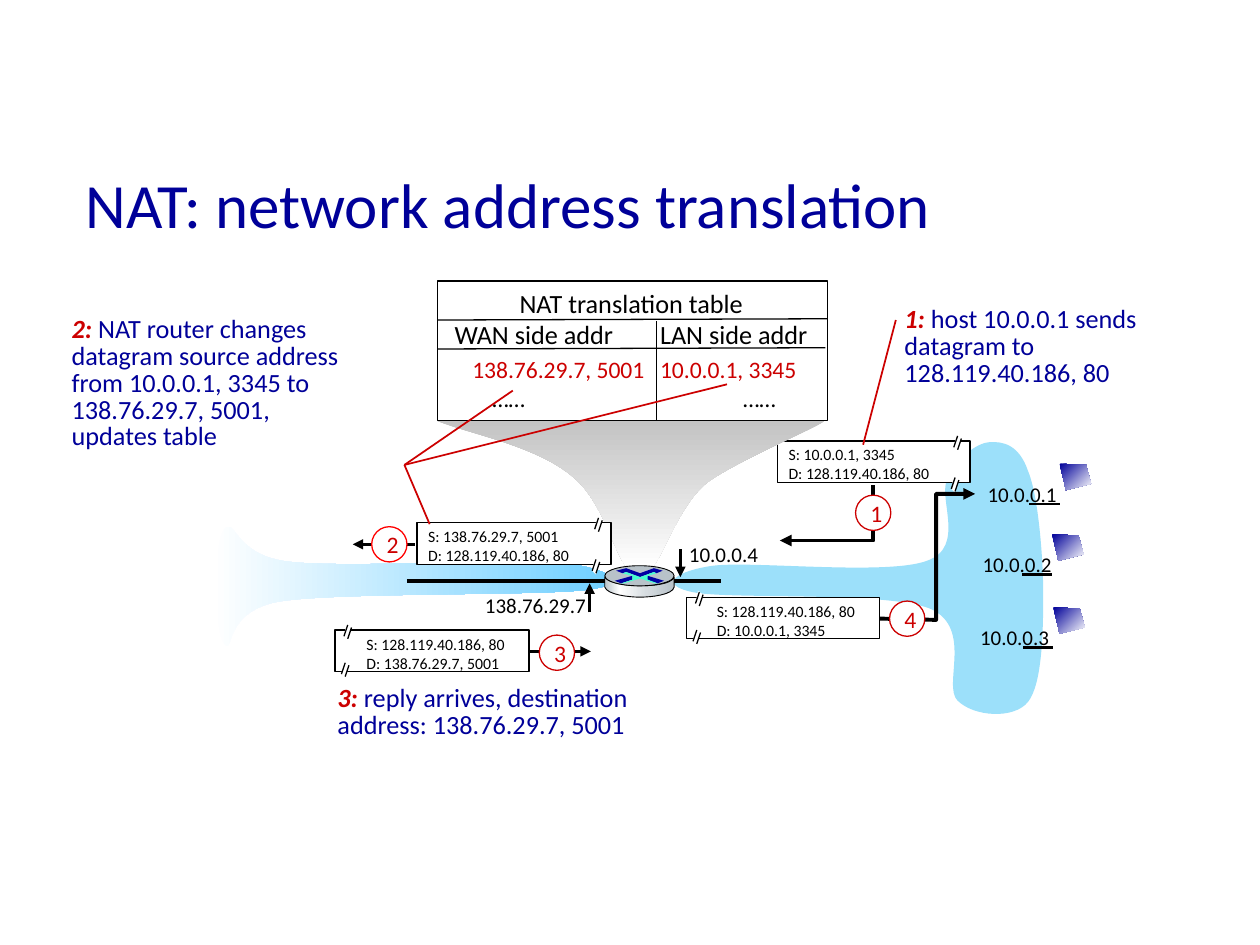
from copy import deepcopy
from lxml.etree import SubElement as Sub
from pptx import Presentation
from pptx.dml.color import RGBColor as Rgb
from pptx.enum.shapes import MSO_CONNECTOR as Link, MSO_SHAPE as Kind
from pptx.enum.text import MSO_ANCHOR as Anchor, MSO_AUTO_SIZE as Auto, PP_ALIGN as Align
from pptx.oxml.ns import qn
from pptx.util import Inches, Pt

HUES = {"navy": "000099", "red": "CC0000", "bright": "FF0000", "black": "000000",
        "white": "FFFFFF", "sky": "66CCFF", "pale": "9CE0FA", "gray": "BFBFBF",
        "steel": "B8C2C9", "mist": "D6DCE0", "ink": "0000A3", "teal": "47FFD1"}


def hue(name):
    """Return the named colour."""
    return Rgb.from_string(HUES[name])


def paint(shape, fill=None, line=None, wide=0.75, angle=0):
    """Fill with a colour or a list of (position, colour) stops, and set the outline."""
    shape.shadow.inherit = False
    if isinstance(fill, list):
        shape.fill.gradient()
        shape.fill.gradient_angle = -angle % 360
        stops = next(shape._element.iter(qn("a:gsLst")))
        for _ in fill[2:]:
            stops.append(deepcopy(stops[0]))
        for stop, (spot, name) in zip(shape.fill.gradient_stops, fill):
            stop.position, stop.color.rgb = spot, hue(name)
    elif fill:
        shape.fill.solid()
        shape.fill.fore_color.rgb = hue(fill)
    else:
        shape.fill.background()
    if line:
        shape.line.color.rgb, shape.line.width = hue(line), Pt(wide)
    else:
        shape.line.fill.background()
    return shape


def form(shapes, kind, x, y, w, h, fill, line="black", wide=0.75):
    """Add a preset shape."""
    shape = shapes.add_shape(kind, *map(Inches, (x, y, w, h)))
    return paint(shape, fill, line, wide)


def trace(shapes, x, y, steps, fill=None, line=None, wide=0.75, angle=0, close=True):
    """Draw an outline from points and six-number curve steps, offset by x and y."""
    dots = [(Inches(x + s[i]), Inches(y + s[i + 1])) for s in steps for i in range(0, len(s), 2)]
    pen = shapes.build_freeform(*dots[0], scale=1.0)
    pen.add_line_segments(dots[1:], close=close)
    shape = pen.convert_to_shape()
    legs = iter(list(shape._element.iter(qn("a:lnTo"))))
    for step in steps[1:]:
        leg = next(legs)
        if len(step) == 6:
            leg.tag = qn("a:cubicBezTo")
            for _ in range(2):
                extra = next(legs)
                leg.append(extra[0])
                extra.getparent().remove(extra)
    return paint(shape, fill, line, wide, angle)


def tip(shape, end="a:tailEnd"):
    """Put a triangle arrowhead on a line end."""
    Sub(shape.line._get_or_add_ln(), qn(end), type="triangle")


def rule(shapes, x, y, u, v, line="black", wide=0.75):
    """Add a straight line."""
    link = shapes.add_connector(Link.STRAIGHT, *map(Inches, (x, y, u, v)))
    link.line.color.rgb, link.line.width = hue(line), Pt(wide)
    Sub(link._element.spPr, qn("a:effectLst"))
    return link


def style(run, size, color, strong=False):
    """Format one run."""
    font = run.font
    font.name, font.size, font.color.rgb = "Calibri", Pt(size), hue(color)
    font.bold = font.italic = strong


def label(shapes, x, y, w, h, text, size, color="black", wrap=True):
    """Add a text box and return its frame."""
    frame = shapes.add_textbox(*map(Inches, (x, y, w, h))).text_frame
    frame.word_wrap, frame.auto_size = wrap, Auto.SHAPE_TO_FIT_TEXT
    frame.text = text
    for para in frame.paragraphs:
        for run in para.runs:
            style(run, size, color)
    return frame


def title(shapes, x, y, w, h):
    """Add the slide title."""
    frame = label(shapes, x, y, w, h, "NAT: network address translation", 36, "navy")
    frame.auto_size, frame.vertical_anchor = Auto.NONE, Anchor.MIDDLE


def note(shapes, x, y, w, h, lead, text):
    """Add a numbered remark with a red lead."""
    frame = label(shapes, x, y, w, h, lead + " ", 15, "red")
    first = frame.paragraphs[0]
    style(first.runs[0], 15, "red", True)
    for i, part in enumerate(text.split("\n")):
        para = frame.add_paragraph() if i else first
        para.line_spacing = 0.85
        run = para.add_run()
        run.text = part
        style(run, 15, "navy")


def slash(shapes, x, y):
    """Add a break mark to a packet edge."""
    trace(shapes, x, y, [(0.02, 0), (0, 0.1), (0.03, 0.13), (0.06, 0.03)], "white")
    rule(shapes, x + 0.03, y + 0.01, x, y + 0.1)
    rule(shapes, x + 0.06, y + 0.03, x + 0.03, y + 0.12)


def packet(shapes, x, y, w, text, reply=False):
    """Add a datagram, whose breaks sit left on a reply."""
    form(shapes, Kind.RECTANGLE, x, y, w, 0.33, "white")
    inset, top, edge, low = (w - 1.39, -0.01, 0.06, 0.25) if reply else (-0.01, -0.02, w - 0.14, 0.28)
    label(shapes, x + inset, y + top, w - 0.08, 0.4, text, 9)
    slash(shapes, x + edge + 0.01, y - 0.05)
    slash(shapes, x + edge - 0.01, y + low)


def badge(shapes, x, y, text, line="red"):
    """Add a circled step number."""
    form(shapes, Kind.OVAL, x, y, 0.28, 0.28, "white", line)
    label(shapes, x + 0.02, y - 0.02, 0.3, 0.33, text, 13.5, "red", False)


def elbow(shapes, x, y, dots):
    """Add a bent arrow that points to its first dot."""
    tip(trace(shapes, x, y, dots, line="black", wide=2.25, close=False), "a:headEnd")


def clouds(shapes, x, y):
    """Draw the outer and the local network."""
    trace(shapes, x, y + 0.6, [
        (2.79, 0.37), (2.4, 0.33, 1.07, 0.41, 0.62, 0.36), (0.17, 0.32, 0.18, 0, 0.09, 0.1),
        (0, 0.21, 0.01, 0.92, 0.09, 1.01), (0.17, 1.11, 0.07, 0.74, 0.55, 0.67),
        (1.04, 0.6, 2.61, 0.63, 2.98, 0.58), (3.35, 0.53, 3.12, 0.41, 2.79, 0.37)],
        [(0, "white"), (1, "sky")])
    trace(shapes, x + 3.51, y, [
        (0.46, 0.99), (0.77, 0.95, 1.85, 1.07, 2.16, 0.95), (2.47, 0.84, 2.24, 0.45, 2.32, 0.3),
        (2.4, 0.14, 2.54, 0.02, 2.65, 0.01), (2.76, 0, 2.89, 0.03, 2.96, 0.24),
        (3.04, 0.43, 3.08, 0.92, 3.08, 1.22), (3.08, 1.53, 3.07, 1.93, 2.96, 2.07),
        (2.85, 2.21, 2.53, 2.19, 2.4, 2.06), (2.28, 1.94, 2.53, 1.48, 2.18, 1.33),
        (1.83, 1.19, 0.58, 1.26, 0.3, 1.2), (0.01, 1.14, 0.17, 1.03, 0.46, 0.99)], "pale")


def tabs(para, *stops):
    """Set left tab stops."""
    row = Sub(para._p.get_or_add_pPr(), qn("a:tabLst"))
    for stop in stops:
        Sub(row, qn("a:tab"), pos=str(Inches(stop)), algn="l")


def table(shapes, x, y, w, h):
    """Draw the translation table and the funnel below it."""
    trace(shapes, x, y + h, [
        (0, 0), (0, 0, 2.7, -0.08, 3.06, 0), (3.16, -0.01, 2.36, 0.32, 2.13, 0.5),
        (1.91, 0.69, 1.8, 1.07, 1.7, 1.17), (1.51, 1.17), (1.4, 1.05, 1.32, 0.63, 1.06, 0.43),
        (0.76, 0.19, 0.24, 0.1, 0, 0)], [(0, "gray"), (1, "white")], angle=90)
    form(shapes, Kind.RECTANGLE, x, y, w, h, "white")
    head = label(shapes, x + 0.02, y, 3.04, 0.61,
                 "NAT translation table\nWAN side addr\tLAN side addr", 15).paragraphs
    head[0].alignment = Align.CENTER
    head[1]._p.get_or_add_pPr().set("marL", str(Inches(0.02)))
    tabs(head[1], 1.63)
    rule(shapes, x, y + 0.31, x + w, y + 0.3)
    rule(shapes, x, y + 0.54, x + w - 0.02, y + 0.53)
    rule(shapes, x + 1.74, y + 0.32, x + 1.74, y + h)
    rows = label(shapes, x + 0.18, y + 0.54, 2.82, 0.56,
                 "138.76.29.7, 5001\t10.0.0.1, 3345\n\t……\t……", 13.5, "red").paragraphs
    tabs(rows[0], 1.49)
    tabs(rows[1], 0.16, 2.15)
    for run in rows[1].runs:
        style(run, 13.5, "black")


def host(shapes, x, y, left, text):
    """Add a host screen with its address and line."""
    label(shapes, x - left, y + 0.09, 0.76, 0.3, text, 12, wrap=False)
    trace(shapes, x, y, [(0, 0), (0.21, 0.01), (0.25, 0.16), (0.05, 0.21)],
          [(0, "navy"), (1, "white")], angle=45)
    rule(shapes, x - 0.24, y + 0.32, x, y + 0.32, wide=1.5)


def router(shapes, x, y):
    """Draw the router on its wire, with its two addresses."""
    rule(shapes, x - 1.57, y + 0.12, x + 0.92, y + 0.12, wide=2)
    trace(shapes, x, y, [
        (0.55, 0.09), (0.55, 0.17), (0.54, 0.23, 0.37, 0.25, 0.28, 0.25),
        (0.19, 0.25, 0.02, 0.23, 0, 0.17), (0, 0.09), (0.03, 0.14, 0.18, 0.16, 0.28, 0.16),
        (0.37, 0.16, 0.53, 0.15, 0.55, 0.09)],
        [(0, "steel"), (0.21, "white"), (0.6, "mist"), (1, "steel")], "black", 0.5)
    form(shapes, Kind.OVAL, x, y, 0.55, 0.16, "steel", wide=0.5)
    trace(shapes, x, y, [(0.39, 0.02), (0.46, 0.04), (0.41, 0.06), (0.39, 0.05), (0.28, 0.09),
                         (0.17, 0.05), (0.14, 0.06), (0.09, 0.04), (0.17, 0.02), (0.28, 0.06)], "ink")
    trace(shapes, x, y, [(0.34, 0.08), (0.47, 0.12), (0.42, 0.14), (0.33, 0.11)], "ink")
    trace(shapes, x, y, [(0.22, 0.08), (0.22, 0.11), (0.13, 0.14), (0.08, 0.12)], "ink")
    trace(shapes, x, y, [(0.14, 0.06), (0.17, 0.05), (0.28, 0.09), (0.39, 0.05), (0.41, 0.06),
                         (0.34, 0.08), (0.34, 0.11), (0.42, 0.14), (0.4, 0.14), (0.28, 0.1),
                         (0.15, 0.14), (0.13, 0.14), (0.22, 0.11), (0.22, 0.08)], "teal")
    label(shapes, x + 0.57, y - 0.24, 0.76, 0.3, "10.0.0.4", 12, wrap=False)
    label(shapes, x - 1.05, y + 0.16, 1.02, 0.3, "138.76.29.7", 12, wrap=False)
    tip(rule(shapes, x - 0.12, y + 0.37, x - 0.12, y + 0.14, wide=1.5))
    tip(rule(shapes, x + 0.6, y - 0.13, x + 0.6, y + 0.09, wide=1.5))


def send(shapes, x, y):
    """Show step 1, from the host to the router."""
    packet(shapes, x, y, 1.53, "S: 10.0.0.1, 3345\nD: 128.119.40.186, 80")
    elbow(shapes, x, y, [(0.02, 0.79), (0.76, 0.79), (0.76, 0.35)])
    badge(shapes, x + 0.62, y + 0.43, "1")
    note(shapes, x + 0.91, y - 1.11, 2.52, 0.74, "1:",
         "host 10.0.0.1 sends datagram to 128.119.40.186, 80")
    rule(shapes, x + 0.94, y - 0.96, x + 0.68, y + 0.03, "red", 1)


def change(shapes, x, y):
    """Show step 2, the rewritten datagram and its table entry."""
    packet(shapes, x, y, 1.54, "S: 138.76.29.7, 5001\nD: 128.119.40.186, 80")
    tip(rule(shapes, x - 0.02, y + 0.17, x - 0.51, y + 0.17, wide=1.5))
    badge(shapes, x - 0.36, y + 0.03, "2", "bright")
    note(shapes, x - 2.84, y - 1.68, 2.59, 1.17, "2:", "NAT router changes datagram source "
         "address from 10.0.0.1, 3345 to 138.76.29.7, 5001,\nupdates table")
    for u, v in ((0.1, 0.01), (0.76, -1.05), (2.46, -1.1)):
        rule(shapes, x - 0.1, y - 0.46, x + u, y + v, "red", 1)


def reply(shapes, x, y):
    """Show step 3, the reply from outside."""
    packet(shapes, x, y, 1.54, "S: 128.119.40.186, 80\nD: 138.76.29.7, 5001", True)
    tip(rule(shapes, x + 2.03, y + 0.17, x + 1.54, y + 0.17, wide=1.5), "a:headEnd")
    badge(shapes, x + 1.62, y + 0.04, "3")
    note(shapes, x - 0.08, y + 0.4, 2.92, 0.53, "3:",
         "reply arrives, destination address: 138.76.29.7, 5001")


def pass_on(shapes, x, y):
    """Show step 4, the reply going to the host."""
    packet(shapes, x, y, 1.53, "S: 128.119.40.186, 80\nD: 10.0.0.1, 3345", True)
    elbow(shapes, x, y, [(2.29, -0.82), (1.98, -0.82), (1.98, 0.18), (1.53, 0.17)])
    badge(shapes, x + 1.61, y + 0.03, "4")


def main():
    """Build and save the slide."""
    deck = Presentation()
    deck.slide_width, deck.slide_height = Inches(10), Inches(7.5)
    shapes = deck.slides.add_slide(deck.slide_layouts[6]).shapes
    title(shapes, 0.58, 1.17, 8.62, 0.88)
    clouds(shapes, 1.69, 3.5)
    send(shapes, 6.17, 3.5)
    table(shapes, 3.47, 2.23, 3.1, 1.11)
    pass_on(shapes, 5.45, 4.74)
    change(shapes, 3.31, 4.15)
    reply(shapes, 2.66, 5)
    spots = ((8.41, 3.68, 0.67), (8.35, 4.24, 0.65), (8.36, 4.82, 0.68))
    for i, spot in enumerate(spots, 1):
        host(shapes, *spot, f"10.0.0.{i}")
    router(shapes, 4.8, 4.49)
    deck.save("out.pptx")


if __name__ == "__main__":
    main()
